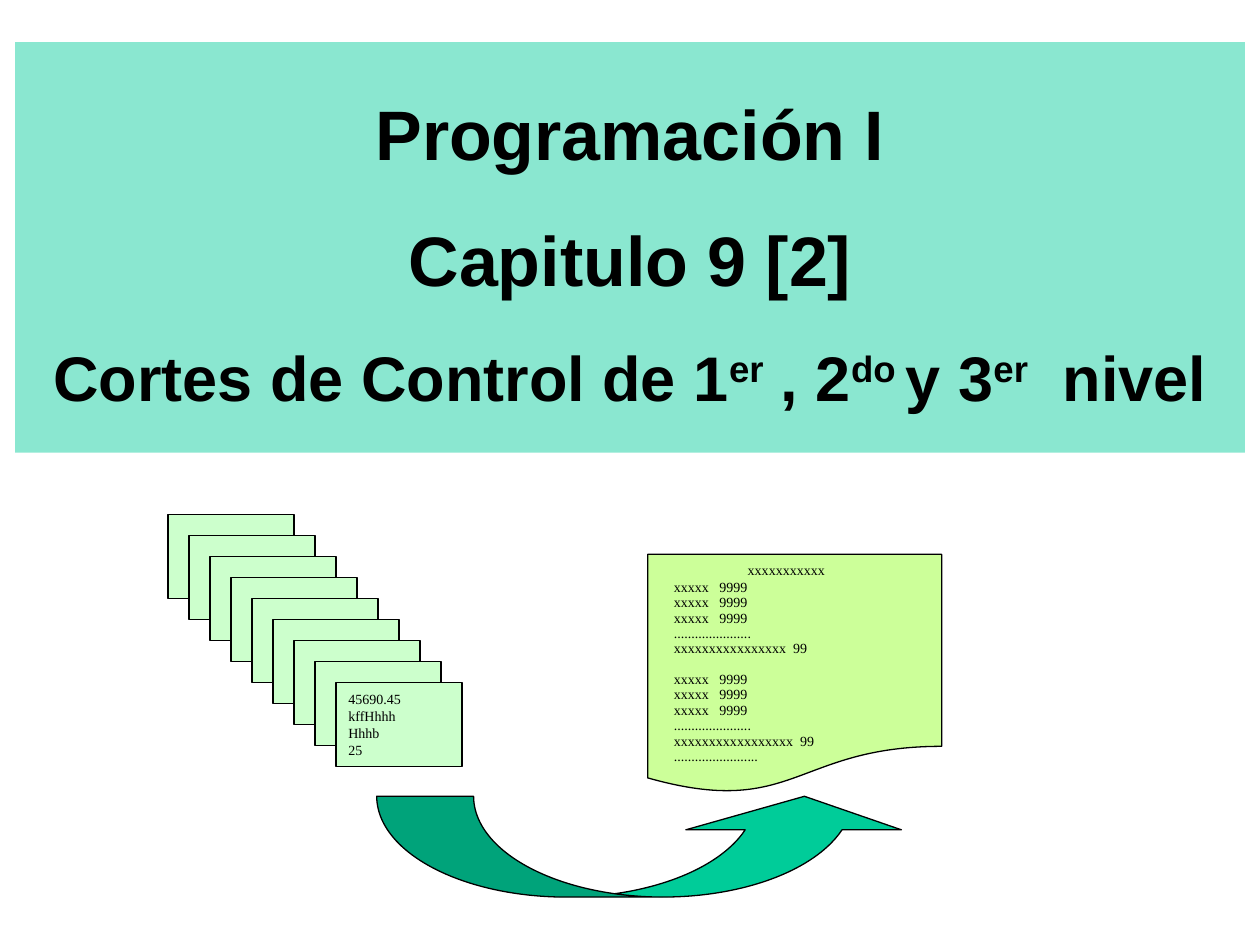
from dataclasses import dataclass
from lxml.etree import SubElement
from pptx import Presentation
from pptx.dml.color import RGBColor
from pptx.enum.shapes import MSO_SHAPE
from pptx.enum.text import MSO_ANCHOR, MSO_AUTO_SIZE, PP_ALIGN
from pptx.oxml.ns import qn
from pptx.util import Inches, Pt


@dataclass(frozen=True)
class Theme:
    ink: str = "000000"
    teal: str = "00CC99"
    card: str = "CCFFCC"
    report: str = "CCFF99"
    heading_font: str = "Arial"
    body_font: str = "Times New Roman"
    heading_size: int = 40
    subject_size: int = 36
    body_size: int = 8
    line_width: float = 0.75


class SlideBuilder:
    columns = 60
    rows = 45

    def __init__(self, deck, theme):
        self.deck = deck
        self.theme = theme
        self.slide = deck.slides.add_slide(deck.slide_layouts[5])

    def place(self, left, top, width, height):
        column = self.deck.slide_width / self.columns
        row = self.deck.slide_height / self.rows
        return [int(length) for length in (left * column, top * row, width * column, height * row)]

    def paint(self, shape, color, opacity=None):
        shape.fill.solid()
        shape.fill.fore_color.rgb = RGBColor.from_string(color)
        if opacity is not None:
            color_node = shape._element.spPr.find(qn("a:solidFill"))[0]
            SubElement(color_node, qn("a:alpha"), val=str(opacity * 1000))

    def style(self, font, name, size, bold=False):
        font.name = name
        font.size = Pt(size)
        font.bold = bold
        font.color.rgb = RGBColor.from_string(self.theme.ink)

    def title(self, area, headings, subject):
        box = self.slide.shapes.title
        box.left, box.top, box.width, box.height = self.place(*area)
        self.paint(box, self.theme.teal, opacity=46)
        frame = box.text_frame
        frame.word_wrap = True
        frame.auto_size = MSO_AUTO_SIZE.NONE
        frame.vertical_anchor = MSO_ANCHOR.TOP
        para = frame.paragraphs[0]
        para.alignment = PP_ALIGN.CENTER
        para.line_spacing = 1.5
        para.space_before = Pt(0)
        self.style(para.font, self.theme.heading_font, self.theme.heading_size, bold=True)
        for heading in headings:
            para.add_run().text = heading
            para.add_line_break()
        for text, raised in subject:
            span = para.add_run()
            span.text = text
            span.font.size = Pt(self.theme.subject_size)
            if raised:
                span.font._element.set("baseline", "30000")

    def shape(self, kind, area, color, adjustments=()):
        shape = self.slide.shapes.add_shape(kind, *self.place(*area))
        shape.shadow.inherit = False
        self.paint(shape, color)
        shape.line.color.rgb = RGBColor.from_string(self.theme.ink)
        shape.line.width = Pt(self.theme.line_width)
        for index, value in enumerate(adjustments):
            shape.adjustments[index] = value
        return shape

    def set_lines(self, frame, lines):
        for index, text in enumerate(lines):
            para = frame.paragraphs[0] if index == 0 else frame.add_paragraph()
            para.text = text
            para.alignment = PP_ALIGN.LEFT
            self.style(para.font, self.theme.body_font, self.theme.body_size)
        return frame.paragraphs

    def card_stack(self, left, top, count, lines):
        for step in range(count):
            card = self.shape(MSO_SHAPE.FLOWCHART_PROCESS, (left + step, top + step, 6, 4), self.theme.card)
        frame = card.text_frame
        frame.word_wrap = True
        frame.vertical_anchor = MSO_ANCHOR.MIDDLE
        self.set_lines(frame, lines)

    def report(self, area, text_area, heading, groups):
        self.shape(MSO_SHAPE.FLOWCHART_DOCUMENT, area, self.theme.report)
        frame = self.slide.shapes.add_textbox(*self.place(*text_area)).text_frame
        frame.word_wrap = True
        lines = [heading] + [line for group in groups for line in group]
        paras = self.set_lines(frame, lines)
        paras[0].space_before = Pt(4)
        paras[0].alignment = PP_ALIGN.CENTER
        for para in paras[1:]:
            para.line_spacing = 0.5
            para.space_before = Pt(4)
        paras[1 + len(groups[0])].space_before = Pt(12.8)


def main():
    deck = Presentation()
    deck.slide_width, deck.slide_height = Inches(10), Inches(7.5)
    theme = Theme()
    builder = SlideBuilder(deck, theme)
    builder.title(
        (0.72, 2, 58.56, 19.56),
        ["Programación I", "Capitulo 9 [2]"],
        [("Cortes de Control de 1", False), ("er", True), (" , 2", False), ("do ", True),
         ("y 3", False), ("er", True), ("  nivel", False)],
    )
    builder.card_stack(8, 24.5, 9, ["45690.45", "kffHhhh", "Hhhb", "25"])
    details = ["xxxxx   9999"] * 3 + ["......................"]
    builder.report(
        (30.84, 26.4, 14, 11.4),
        (31.5, 26.46, 11.9, 11.16),
        "xxxxxxxxxxx",
        [details + ["xxxxxxxxxxxxxxxx  99"],
         details + ["xxxxxxxxxxxxxxxxx  99", "........................"]],
    )
    builder.shape(MSO_SHAPE.CURVED_UP_ARROW, (17.94, 37.92, 25.5, 4.8), theme.teal, (0.961, 2.139, 0.333))
    deck.save("out.pptx")


if __name__ == "__main__":
    main()
